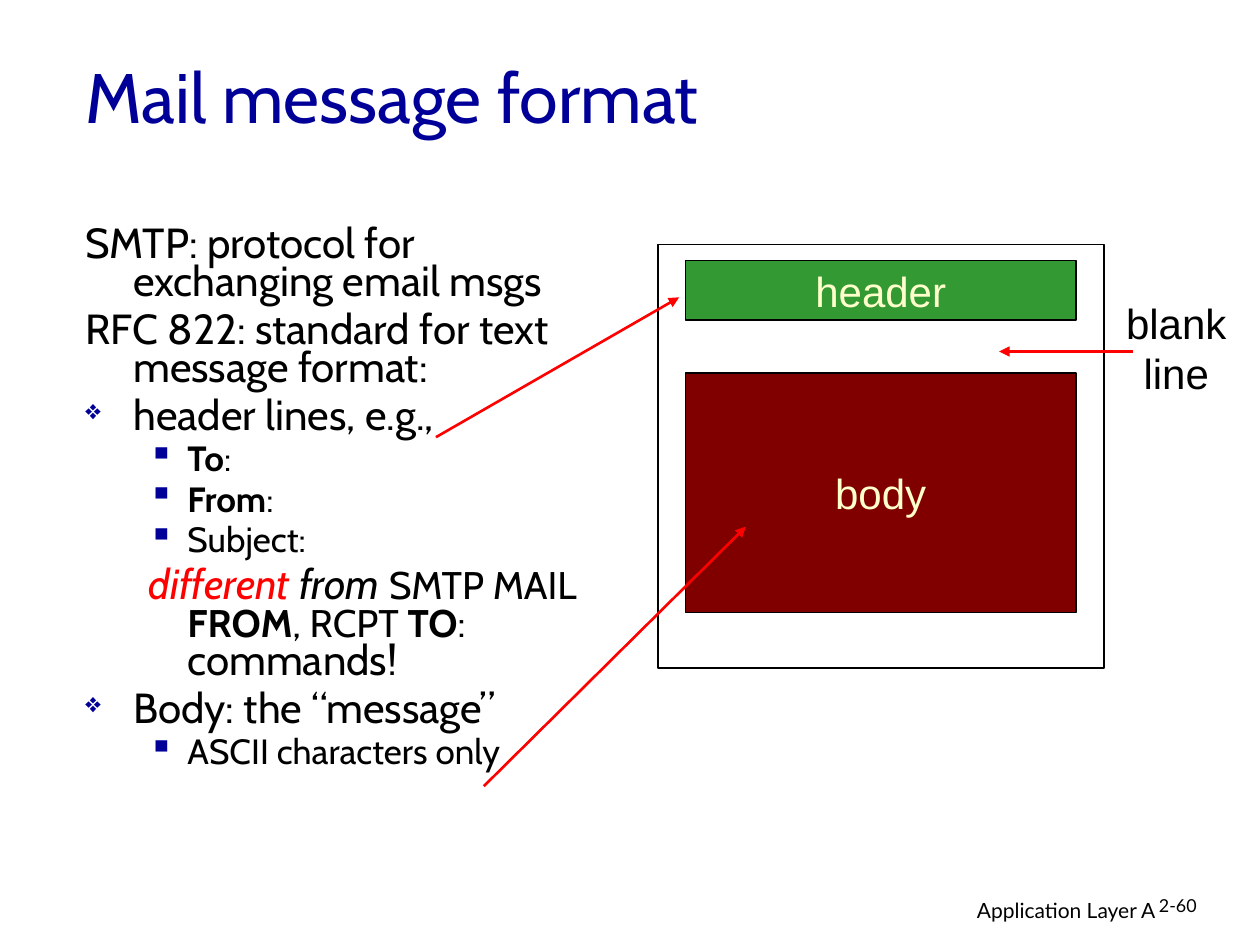
import lxml.etree
import pptx
import pptx.dml.color
import pptx.enum.shapes
import pptx.enum.text
import pptx.oxml.ns
import pptx.util

CELL = 0.1  # inches; the slide is a grid of 100 columns and 75 rows
COLUMNS, ROWS = 100, 75

COLORS = {
    "ink": "000000",
    "navy": "000099",
    "red": "FF0000",
    "green": "339933",
    "maroon": "800000",
    "cream": "FFFFCC",
}

ALIGN = pptx.enum.text.PP_ALIGN
MIDDLE = pptx.enum.text.MSO_ANCHOR.MIDDLE
TITLE = {"size": 40, "name": "Cabin", "color": "navy"}
FOOTER = {"size": 12, "name": "Lato", "color": "ink"}
SLIDE_NUMBER = {**FOOTER, "size": 10.2}
CAPTION = {"size": 24, "name": "Arial", "color": "ink"}
BLOCK_LABEL = {**CAPTION, "color": "cream"}

POINT = {"size": 24, "name": "Cabin", "color": "ink"}
DETAIL = {**POINT, "size": 20}
FIELD = {**DETAIL, "bold": True}
COMMAND = {**POINT, "size": 22}
COMMAND_BOLD = {**COMMAND, "bold": True}
STRESSED = {**POINT, "italic": True}

# level, indent and hanging in inches, space before in points, bullet, bullet size in %
LAYOUTS = {
    "statement": (0, 0.38, 0.38, 6, None, None),
    "point": (0, 0.38, 0.38, 6, "❖", 65),
    "detail": (1, 0.81, 0.31, 5, "▪", 100),
    "remark": (1, 0.81, 0.31, 6, None, None),
}

OUTLINE = [
    ("statement", [("SMTP: protocol for exchanging email msgs", POINT)]),
    ("statement", [("RFC 822: standard for text message format:", POINT)]),
    ("point", [("header lines, e.g.,", POINT)]),
    ("detail", [("To", FIELD), (":", DETAIL)]),
    ("detail", [("From", FIELD), (":", DETAIL)]),
    ("detail", [("Subject:", DETAIL)]),
    ("remark", [
        ("different ", {**STRESSED, "color": "red"}),
        ("from ", STRESSED),
        ("SMTP MAIL ", COMMAND),
        ("FROM", COMMAND_BOLD),
        (", RCPT ", COMMAND),
        ("TO", COMMAND_BOLD),
        (":", COMMAND),
        (" commands!", POINT),
    ]),
    ("point", [("Body: the “message”", POINT)]),
    ("detail", [("ASCII characters only", DETAIL)]),
]


def grid(*cells):
    return [pptx.util.Inches(cell * CELL) for cell in cells]


def rgb(color):
    return pptx.dml.color.RGBColor.from_string(COLORS[color])


def add_run(paragraph, text, style):
    run = paragraph.add_run()
    run.text = text
    for name, value in style.items():
        if name == "color":
            run.font.color.rgb = rgb(value)
        else:
            setattr(run.font, name, pptx.util.Pt(value) if name == "size" else value)


def add_child(parent, tag, **attributes):
    child = lxml.etree.SubElement(parent, pptx.oxml.ns.qn(tag))
    for name, value in attributes.items():
        child.set(name, str(value))
    return child


def write_lines(frame, lines, style, **paragraph_format):
    for index, line in enumerate(lines):
        paragraph = frame.add_paragraph() if index else frame.paragraphs[0]
        for name, value in paragraph_format.items():
            setattr(paragraph, name, value)
        add_run(paragraph, line, style)


def add_label(slide, area, lines, style, anchor=None, **paragraph_format):
    frame = slide.shapes.add_textbox(*grid(*area)).text_frame
    frame.word_wrap = True
    frame.vertical_anchor = anchor
    write_lines(frame, lines, style, **paragraph_format)


def add_block(slide, area, fill=None, label=None, line_width=0.75):
    block = slide.shapes.add_shape(pptx.enum.shapes.MSO_SHAPE.RECTANGLE, *grid(*area))
    block.shadow.inherit = False
    block.line.color.rgb = rgb("ink")
    block.line.width = pptx.util.Pt(line_width)
    if fill:
        block.fill.solid()
        block.fill.fore_color.rgb = rgb(fill)
    else:
        block.fill.background()
    if label:
        block.text_frame.word_wrap = False
        block.text_frame.vertical_anchor = MIDDLE
        write_lines(block.text_frame, [label], BLOCK_LABEL, alignment=ALIGN.CENTER)


def add_arrow(slide, start, end):
    arrow = slide.shapes.add_connector(
        pptx.enum.shapes.MSO_CONNECTOR.STRAIGHT, *grid(*start, *end))
    arrow.line.color.rgb = rgb("red")
    arrow.line.width = pptx.util.Pt(1.5)
    add_child(arrow.line._get_or_add_ln(), "a:tailEnd", type="triangle")
    add_child(arrow._element.spPr, "a:effectLst")


def set_layout(paragraph, layout, is_first):
    """Set level, hanging indent, spacing and bullet of an outline paragraph."""
    level, indent, hanging, space, bullet, bullet_size = LAYOUTS[layout]
    paragraph.level = level
    paragraph.line_spacing = 0.75
    paragraph.space_before = pptx.util.Pt(0 if is_first else space)
    properties = paragraph._p.get_or_add_pPr()
    properties.set("marL", str(pptx.util.Inches(indent)))
    properties.set("indent", str(-pptx.util.Inches(hanging)))
    if bullet:
        bullet_color = add_child(properties, "a:buClr")
        add_child(bullet_color, "a:srgbClr", val=COLORS["navy"])
        add_child(properties, "a:buSzPct", val=bullet_size * 1000)
        add_child(properties, "a:buChar", char=bullet)
    else:
        add_child(properties, "a:buNone")


def add_outline(slide, area):
    frame = slide.shapes.add_textbox(*grid(*area)).text_frame
    frame.word_wrap = True
    for index, (layout, runs) in enumerate(OUTLINE):
        paragraph = frame.add_paragraph() if index else frame.paragraphs[0]
        set_layout(paragraph, layout, index == 0)
        for text, style in runs:
            add_run(paragraph, text, style)


def add_message_diagram(slide):
    left, width = 54.4, 31
    add_block(slide, (left, 20.7, width, 4.7), "green", "header")
    add_block(slide, (left, 29.6, width, 19), "maroon", "body")
    add_block(slide, (52.2, 19.4, 35.4, 33.6), line_width=1)
    add_arrow(slide, (34.6, 34.7), (53.9, 23.6))
    add_arrow(slide, (38.4, 62.4), (59.2, 41.8))
    add_label(slide, (87.9, 23.1, 10.9, 9), ["blank", "line"], CAPTION,
              alignment=ALIGN.CENTER)
    add_arrow(slide, (89.9, 27.9), (79.3, 27.9))


def main():
    deck = pptx.Presentation()
    deck.slide_width, deck.slide_height = grid(COLUMNS, ROWS)
    slide = deck.slides.add_slide(deck.slide_layouts[6])
    add_label(slide, (61, 70.7, 31.7, 3.1), ["Application Layer A"], FOOTER,
              alignment=ALIGN.RIGHT)
    add_label(slide, (91, 70.7, 7.4, 3), ["2-60"], SLIDE_NUMBER, line_spacing=0.9)
    add_label(slide, (5.8, 1.3, 85, 12.5), ["Mail message format"], TITLE, MIDDLE)
    add_outline(slide, (5.8, 17.6, 41.7, 50.8))
    add_message_diagram(slide)
    deck.save("out.pptx")


if __name__ == "__main__":
    main()
